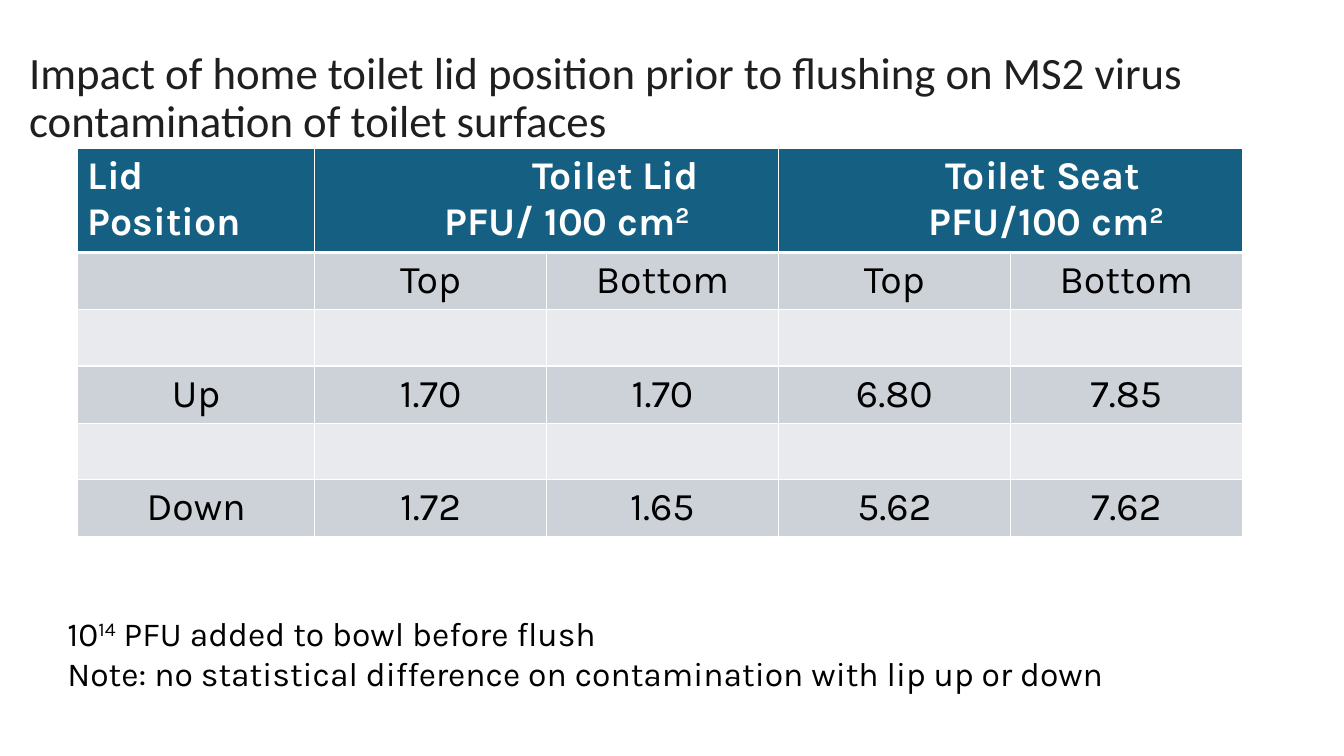
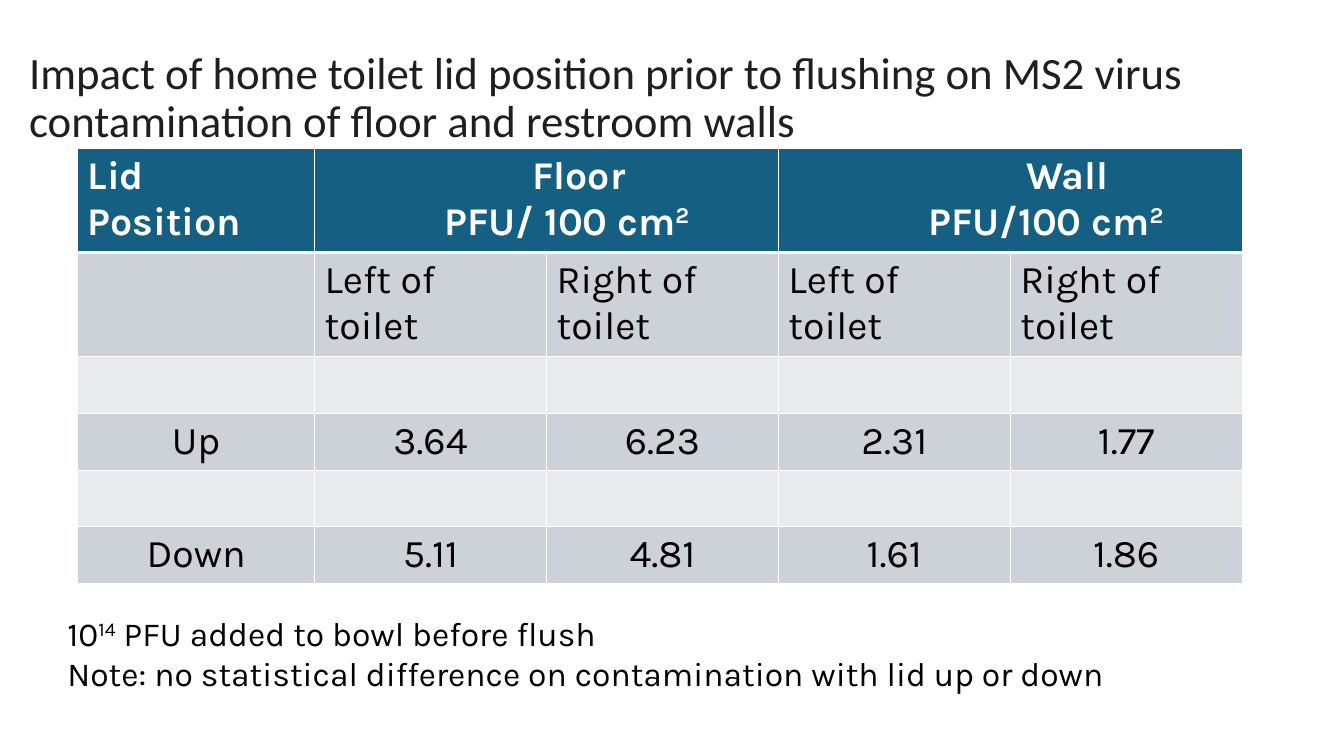
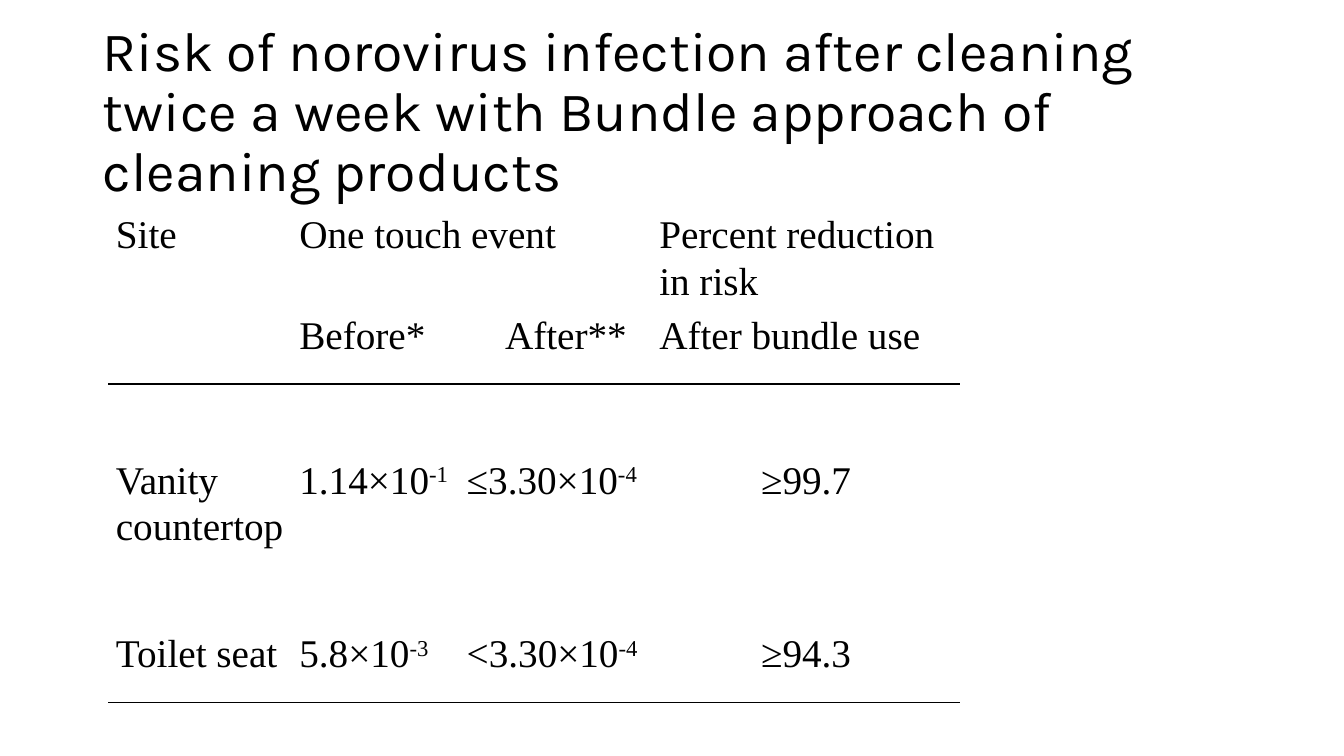
from lxml.etree import SubElement
from pptx import Presentation
from pptx.dml.color import RGBColor
from pptx.enum.text import MSO_ANCHOR as ANCHOR, PP_ALIGN as ALIGN
from pptx.oxml.ns import qn
from pptx.util import Inches, Pt

COLORS = {
    "title": "1F1F1F",
    "text": "000000",
    "header": "156082",
    "band_dark": "CCD2D8",
    "band_light": "E8EAED",
    "white": "FFFFFF",
}


class Deck:
    """Holds the style and the current slide."""
    body_font = "Karla"
    title_font = "Calibri"
    table_font = "Times New Roman"

    def __init__(self):
        self.prs = Presentation()
        self.prs.slide_width, self.prs.slide_height = Inches(13.33), Inches(7.5)
        self.s = None

    def new_slide(self):
        self.s = self.prs.slides.add_slide(self.prs.slide_layouts[6])

    def fill_text(self, p, text, size, font, color="text", bold=False,
                  align=ALIGN.LEFT, indent=0):
        """Fill a paragraph; text between carets is superscript."""
        if indent:
            p._p.get_or_add_pPr().set("marL", str(Inches(indent)))
        p.alignment = align
        p.font.size, p.font.name, p.font.bold = Pt(size), font, bold
        p.font.color.rgb = RGBColor.from_string(COLORS[color])
        for i, part in enumerate(text.split("^")):
            if part:
                r = p.add_run()
                r.text = part
                if i % 2:
                    r._r.get_or_add_rPr().set("baseline", "30000")

    def text_box(self, box, lines, size, font, color="text",
                 anchor=ANCHOR.TOP, spacing=None):
        tf = self.s.shapes.add_textbox(*map(Inches, box)).text_frame
        tf.word_wrap, tf.vertical_anchor = True, anchor
        for i, line in enumerate(lines):
            p = tf.add_paragraph() if i else tf.paragraphs[0]
            p.line_spacing = spacing
            self.fill_text(p, line, size, font, color)

    def title(self, text, box=(0.19, 0.4, 12.76, 1.17), size=32,
              font=title_font, color="title"):
        self.text_box(box, [text], size, font, color, ANCHOR.MIDDLE, 0.9)

    def note(self, lines):
        self.text_box((0.57, 6.03, 10.57, 0.91), lines, 24, self.body_font)

    def table(self, left, top, widths, heights):
        tbl = self.s.shapes.add_table(
            len(heights), len(widths), Inches(left), Inches(top),
            Inches(sum(widths)), Inches(sum(heights))).table
        tbl.first_row = tbl.horz_banding = False
        for col, width in zip(tbl.columns, widths):
            col.width = Inches(width)
        for row, height in zip(tbl.rows, heights):
            row.height = Inches(height)
        return tbl

    def border(self, cell, color, **widths):
        """Draw cell sides, given as L, R, T, B in that order."""
        for side, width in widths.items():
            ln = SubElement(cell._tc.get_or_add_tcPr(), qn(f"a:ln{side}"),
                            w=str(Pt(width)))
            fill = SubElement(ln, qn("a:solidFill"))
            SubElement(fill, qn("a:srgbClr"), val=COLORS[color])

    def lid_table(self, groups, sub_heads, sub_align, sub_height, up, down):
        """Banded table; groups are lists of (text, indent) lines."""
        tbl = self.table(0.77, 1.47, [2.35] + [2.3] * 4,
                         [1.0, sub_height] + [0.56] * 4)
        for r, row in enumerate(tbl.rows):
            fill = "band_dark" if r % 2 else "band_light" if r else "header"
            for cell in row.cells:
                self.border(cell, "white", L=1, R=1, T=3 if r == 1 else 1,
                            B=1 if r else 3)
                cell.fill.solid()
                cell.fill.fore_color.rgb = RGBColor.from_string(COLORS[fill])

        # Header, with each group over two columns
        for c, lines in zip((0, 1, 3), [[("Lid Position", 0)]] + groups):
            cell = tbl.cell(0, c)
            if c:
                cell.merge(tbl.cell(0, c + 1))
            for i, (text, indent) in enumerate(lines):
                tf = cell.text_frame
                p = tf.add_paragraph() if i else tf.paragraphs[0]
                self.fill_text(p, text, 28, self.body_font, "white", True,
                               indent=indent)

        # Body
        body = {1: [""] + sub_heads, 3: ["Up"] + up, 5: ["Down"] + down}
        for r, texts in body.items():
            for c, text in enumerate(texts):
                if text:
                    self.fill_text(tbl.cell(r, c).text_frame.paragraphs[0], text,
                                   28, self.body_font,
                                   align=sub_align if r == 1 else ALIGN.CENTER)

    def risk_table(self, rows, heights):
        """Plain table with a rule under the header and under the data."""
        tbl = self.table(1.08, 2.09, [1.82, 1.66, 1.91, 3.05], heights)
        for r, row in enumerate(tbl.rows):
            for c, cell in enumerate(row.cells):
                cell.margin_left = cell.margin_right = Inches(0.07)
                cell.margin_top = cell.margin_bottom = 0
                if r in (2, 6):
                    self.border(cell, "text", T=1)
                elif r in (1, 5):
                    self.border(cell, "text", B=1)
                cell.fill.background()
                text = rows[r][c] if rows[r] else ""
                if text:
                    p = cell.text_frame.paragraphs[0]
                    p.line_spacing, p.space_after = 1.07, Pt(8)
                    centred = r > 2 and c == 3
                    self.fill_text(p, text, 28, self.table_font,
                                   align=ALIGN.CENTER if centred else ALIGN.LEFT,
                                   indent=0.38 if text == "After**" else 0)
        tbl.cell(0, 1).merge(tbl.cell(0, 2))


def main():
    deck = Deck()
    lead = "Impact of home toilet lid position prior to flushing on MS2 virus contamination of "
    dose = "10^14^ PFU added to bowl before flush"
    unit_1, unit_2 = ("PFU/ 100 cm^2^", 1.19), ("PFU/100 cm^2^", 1.39)

    # Slide 1: toilet surfaces
    deck.new_slide()
    deck.title(lead + "toilet surfaces")
    deck.lid_table([[("Toilet Lid", 2.06), unit_1], [("Toilet Seat", 1.56), unit_2]],
                   ["Top", "Bottom"] * 2, ALIGN.CENTER, 0.56,
                   ["1.70", "1.70", "6.80", "7.85"],
                   ["1.72", "1.65", "5.62", "7.62"])
    deck.note([dose, "Note: no statistical difference on contamination with lip up or down"])

    # Slide 2: floor and walls
    deck.new_slide()
    deck.title(lead + "floor and restroom walls")
    deck.lid_table([[("Floor", 2.06), unit_1], [("Wall", 2.36), unit_2]],
                   ["Left of toilet", "Right of toilet"] * 2, ALIGN.LEFT, 1.0,
                   ["3.64", "6.23", "2.31", "1.77"],
                   ["5.11", "4.81", "1.61", "1.86"])
    deck.note([dose, "Note: no statistical difference on contamination with lid up or down"])

    # Slide 3: infection risk
    deck.new_slide()
    deck.title("Risk of norovirus infection after cleaning twice a week with "
               "Bundle approach of cleaning products",
               (0.92, 0.4, 11.5, 1.45), 39.6, deck.body_font, "text")
    deck.risk_table([
        ["Site", "One touch event", "", "Percent reduction in risk"],
        ["", "Before*", "After**", "After bundle use"],
        [],
        ["Vanity countertop", "1.14×10^-1^", "≤3.30×10^-4^", "≥99.7"],
        [],
        ["Toilet seat", "5.8×10^-3^", "<3.30×10^-4^", "≥94.3"],
        [],
    ], [0.93, 0.72, 0.72, 0.93, 0.72, 0.72, 0.67])

    deck.prs.save("out.pptx")


if __name__ == "__main__":
    main()
